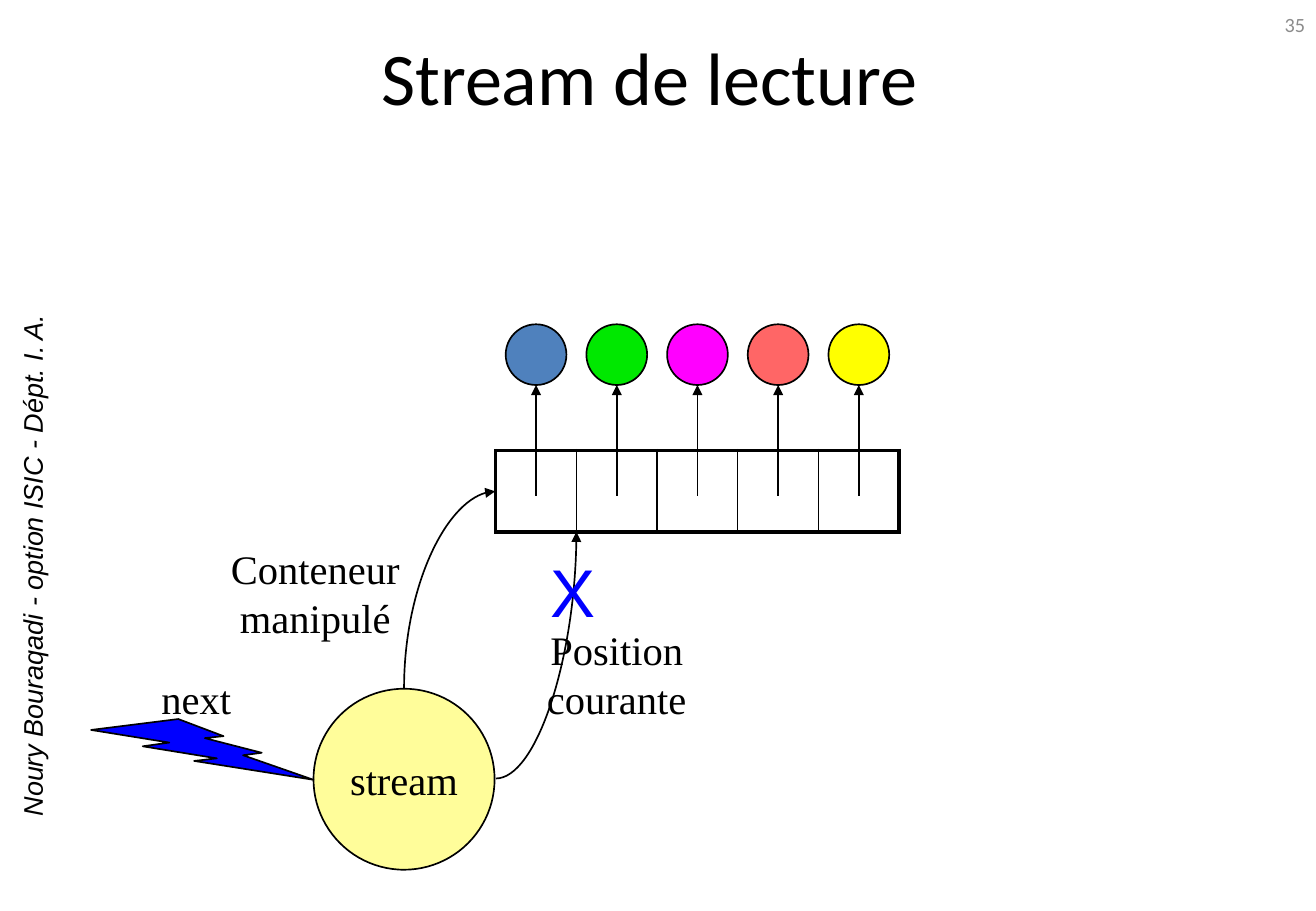
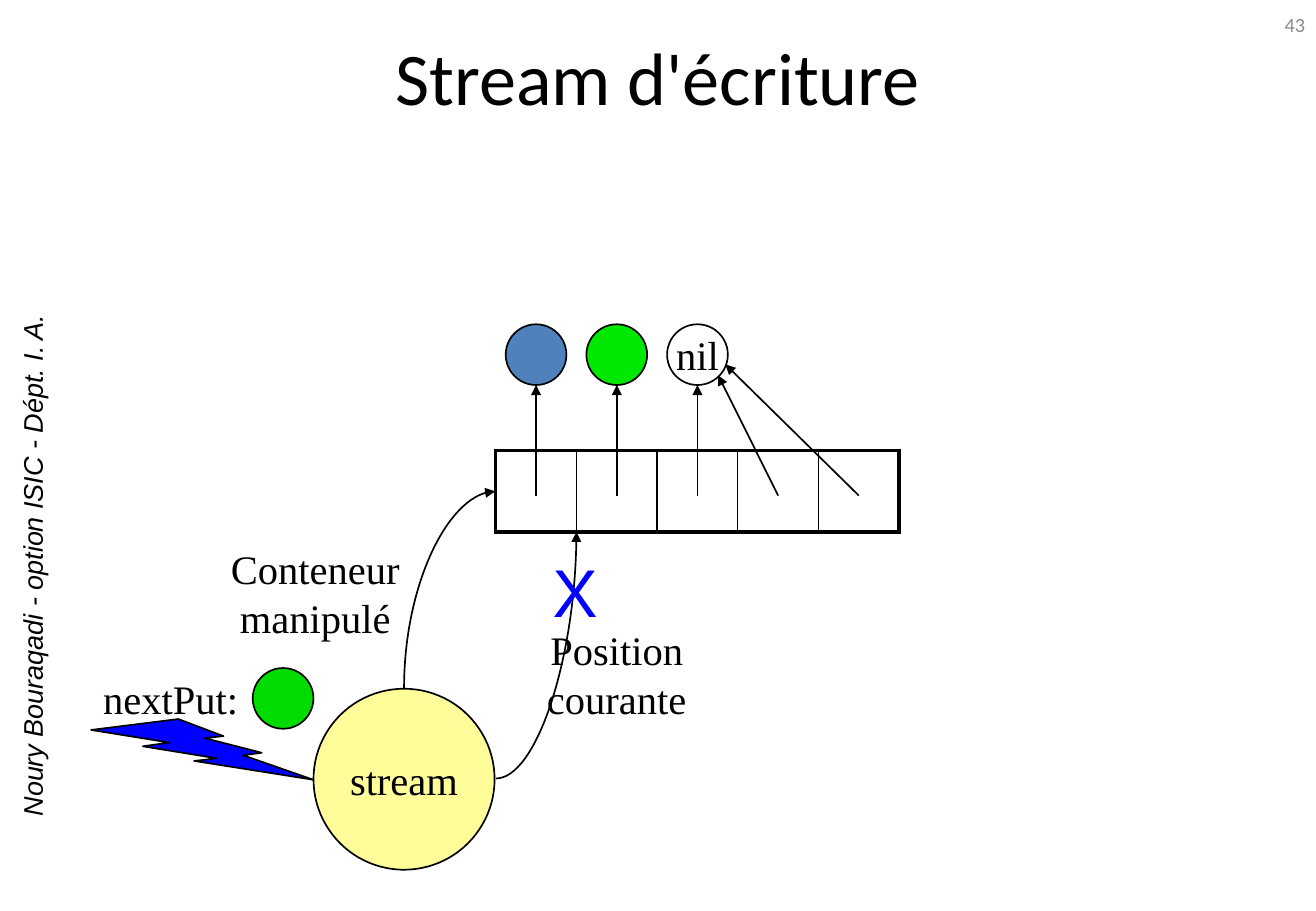
"""Build two slides that explain read and write streams over a container."""
from dataclasses import dataclass
from typing import Optional

import lxml.etree
import pptx
import pptx.dml.color
import pptx.enum.shapes
import pptx.enum.text
import pptx.oxml.ns
import pptx.util

Inches = pptx.util.Inches
Pt = pptx.util.Pt
RGBColor = pptx.dml.color.RGBColor
Shape = pptx.enum.shapes.MSO_SHAPE
Connector = pptx.enum.shapes.MSO_CONNECTOR
Align = pptx.enum.text.PP_ALIGN
Anchor = pptx.enum.text.MSO_ANCHOR
qn = pptx.oxml.ns.qn

BLACK = RGBColor(0x00, 0x00, 0x00)
GREY = RGBColor(0x8C, 0x8C, 0x8C)
BLUE = RGBColor(0x00, 0x00, 0xFF)
STEEL = RGBColor(0x4F, 0x81, 0xBD)
GREEN = RGBColor(0x00, 0xE8, 0x00)
DARK_GREEN = RGBColor(0x00, 0xDC, 0x00)
MAGENTA = RGBColor(0xFF, 0x00, 0xFF)
CORAL = RGBColor(0xFF, 0x66, 0x66)
YELLOW = RGBColor(0xFF, 0xFF, 0x00)
CREAM = RGBColor(0xFF, 0xFD, 0x9A)

SERIF = "Times New Roman"
SLIDE_W, SLIDE_H = 10.83, 7.5
TABLE_X, TABLE_Y, TABLE_W, CELL_H = 4.08, 3.71, 3.32, 0.67
CELLS = 5
CELL_W = TABLE_W / CELLS
ITEM_Y, ITEM_D = 2.67, 0.5
ARROW_Y = 4.08


@dataclass
class Style:
    """Describe how a text looks."""
    size: float = 24
    font: str = SERIF
    color: RGBColor = BLACK
    italic: bool = False
    align: Align = Align.CENTER


@dataclass
class Item:
    """Describe an object that a container cell refers to."""
    fill: Optional[RGBColor] = None
    text: str = ""


@dataclass
class StreamSlide:
    """Describe what differs between the stream slides."""
    title: str
    number: str
    message: str
    message_x: float
    message_w: float
    cross_x: float
    items: list[Item]
    shared_tips: list[tuple[float, float]]
    argument: Optional[RGBColor] = None


LABEL = Style()
MESSAGE = Style(align=Align.LEFT)
CROSS = Style(40, "Arial", BLUE, align=Align.LEFT)
TITLE = Style(44, "Calibri")
CREDIT = Style(16, "Arial", italic=True)

SLIDES = [
    StreamSlide("Stream de lecture ", "35", "next", 1.23, 0.78, 4.43,
                [Item(c) for c in (STEEL, GREEN, MAGENTA, CORAL, YELLOW)], []),
    StreamSlide("Stream d'écriture", "43", "nextPut:", 0.75, 1.31, 4.45,
                [Item(STEEL), Item(GREEN), Item(text="nil")],
                [(5.91, 3.09), (5.97, 3)], DARK_GREEN),
]


def write(tf, text: str, style: Style) -> None:
    """Fill a text frame, one paragraph for each line."""
    tf.text = text
    for p in tf.paragraphs:
        p.alignment = style.align
        p.font.size = Pt(style.size)
        p.font.name = style.font
        p.font.italic = style.italic
        p.font.color.rgb = style.color


def add_label(s, text: str, x: float, y: float, w: float, h: float,
              style: Style = LABEL, anchor: Anchor = Anchor.TOP, wrap: bool = False):
    """Add a text box."""
    sp = s.shapes.add_textbox(Inches(x), Inches(y), Inches(w), Inches(h))
    tf = sp.text_frame
    write(tf, text, style)
    tf.word_wrap = wrap
    tf.vertical_anchor = anchor
    return sp


def add_figure(s, kind: Shape, x: float, y: float, w: float, h: float,
               fill: Optional[RGBColor], text: str = "") -> None:
    """Add an outlined shape, with text if there is any."""
    sp = s.shapes.add_shape(kind, Inches(x), Inches(y), Inches(w), Inches(h))
    sp.shadow.inherit = False
    sp.line.color.rgb = BLACK
    sp.line.width = Pt(1)
    if fill is None:
        sp.fill.background()
    else:
        sp.fill.solid()
        sp.fill.fore_color.rgb = fill
    if text:
        tf = sp.text_frame
        write(tf, text, LABEL)
        tf.word_wrap = False
        tf.vertical_anchor = Anchor.MIDDLE


def add_arrow(s, x1: float, y1: float, x2: float, y2: float,
              kind: Connector = Connector.STRAIGHT):
    """Add a connector with an arrowhead at its end."""
    c = s.shapes.add_connector(kind, Inches(x1), Inches(y1), Inches(x2), Inches(y2))
    c.line.color.rgb = BLACK
    c.line.width = Pt(1)
    pr = c.element.spPr
    lxml.etree.SubElement(pr.find(qn("a:ln")), qn("a:tailEnd"), type="triangle")
    lxml.etree.SubElement(pr, qn("a:effectLst"))
    return c


def add_curve(s, x1: float, y1: float, x2: float, y2: float, rotation: int = 0) -> None:
    """Add a quarter-turn arrow whose ends are given before rotation."""
    pr = add_arrow(s, x1, y1, x2, y2, Connector.CURVE).element.spPr
    pr.find(qn("a:prstGeom")).set("prst", "curvedConnector2")
    pr.find(qn("a:xfrm")).set("rot", str(rotation * 60000))


def add_border(cell, side: str, width: float) -> None:
    """Draw one border of a table cell."""
    ln = lxml.etree.SubElement(cell._tc.get_or_add_tcPr(), qn(f"a:ln{side}"),
                               w=str(Pt(width)))
    fill = lxml.etree.SubElement(ln, qn("a:solidFill"))
    lxml.etree.SubElement(fill, qn("a:srgbClr"), val=str(BLACK))


def add_container(s) -> None:
    """Add the row of cells."""
    table = s.shapes.add_table(1, CELLS, Inches(TABLE_X), Inches(TABLE_Y),
                               Inches(TABLE_W), Inches(CELL_H)).table
    table.first_row = table.horz_banding = False
    for i in range(CELLS):
        table.columns[i].width = Inches(CELL_W)
        cell = table.cell(0, i)
        widths = {"L": 2.25 if i == 0 else 1, "R": 2.25 if i == CELLS - 1 else 1,
                  "T": 2.25, "B": 2.25}
        for side, width in widths.items():
            add_border(cell, side, width)
        cell.fill.background()


def add_items(s, data: StreamSlide) -> None:
    """Add the objects and the arrows from their cells."""
    centers = [TABLE_X + (i + 0.5) * CELL_W for i in range(CELLS)]
    for x, item in zip(centers, data.items):
        add_figure(s, Shape.OVAL, x - ITEM_D / 2, ITEM_Y, ITEM_D, ITEM_D,
                   item.fill, item.text)
        add_arrow(s, x, ARROW_Y, x, ITEM_Y + ITEM_D)
    for x, tip in zip(centers[len(data.items):], data.shared_tips):
        add_arrow(s, x, ARROW_Y, *tip)


def add_frame(s, data: StreamSlide) -> None:
    """Format the title and add the side credit and slide number."""
    title = s.shapes.title
    title.left, title.top = Inches(0), Inches(0)
    title.width, title.height = Inches(SLIDE_W), Inches(1.25)
    title.text_frame.vertical_anchor = Anchor.MIDDLE
    write(title.text_frame, data.title, TITLE)
    add_label(s, "Noury Bouraqadi - option ISIC - Dépt. I. A.", -1.91, 4.47, 4.35, 0.37,
              CREDIT, Anchor.MIDDLE).rotation = 270
    add_label(s, data.number, 8.31, 0, 2.53, 0.4,
              Style(12, "Calibri", GREY, align=Align.RIGHT), Anchor.MIDDLE, True)


def add_stream_slide(prs, data: StreamSlide) -> None:
    """Add one complete stream slide."""
    s = prs.slides.add_slide(prs.slide_layouts[5])
    add_frame(s, data)
    add_container(s)
    add_figure(s, Shape.OVAL, 2.58, 5.67, 1.49, 1.49, CREAM, "stream")
    add_curve(s, 2.89, 4.48, 4.51, 5.23, 270)
    add_curve(s, TABLE_X, 6.41, TABLE_X + CELL_W, TABLE_Y + CELL_H)
    add_figure(s, Shape.LIGHTNING_BOLT, 0.75, 5.92, 1.83, 0.5, BLUE)
    add_label(s, data.message, data.message_x, 5.5, data.message_w, 0.5, MESSAGE)
    if data.argument is not None:
        add_figure(s, Shape.OVAL, 2.08, 5.5, ITEM_D, ITEM_D, data.argument)
    add_label(s, "Position\ncourante", 4.4, 5.1, 1.35, 0.9)
    add_items(s, data)
    add_label(s, "X", data.cross_x, 4.48, 0.57, 0.77, CROSS)
    add_label(s, "Conteneur\nmanipulé", 1.8, 4.43, 1.59, 0.9)


def main() -> None:
    """Build and save the presentation."""
    prs = pptx.Presentation()
    prs.slide_width, prs.slide_height = Inches(SLIDE_W), Inches(SLIDE_H)
    for data in SLIDES:
        add_stream_slide(prs, data)
    prs.save("out.pptx")


if __name__ == "__main__":
    main()
